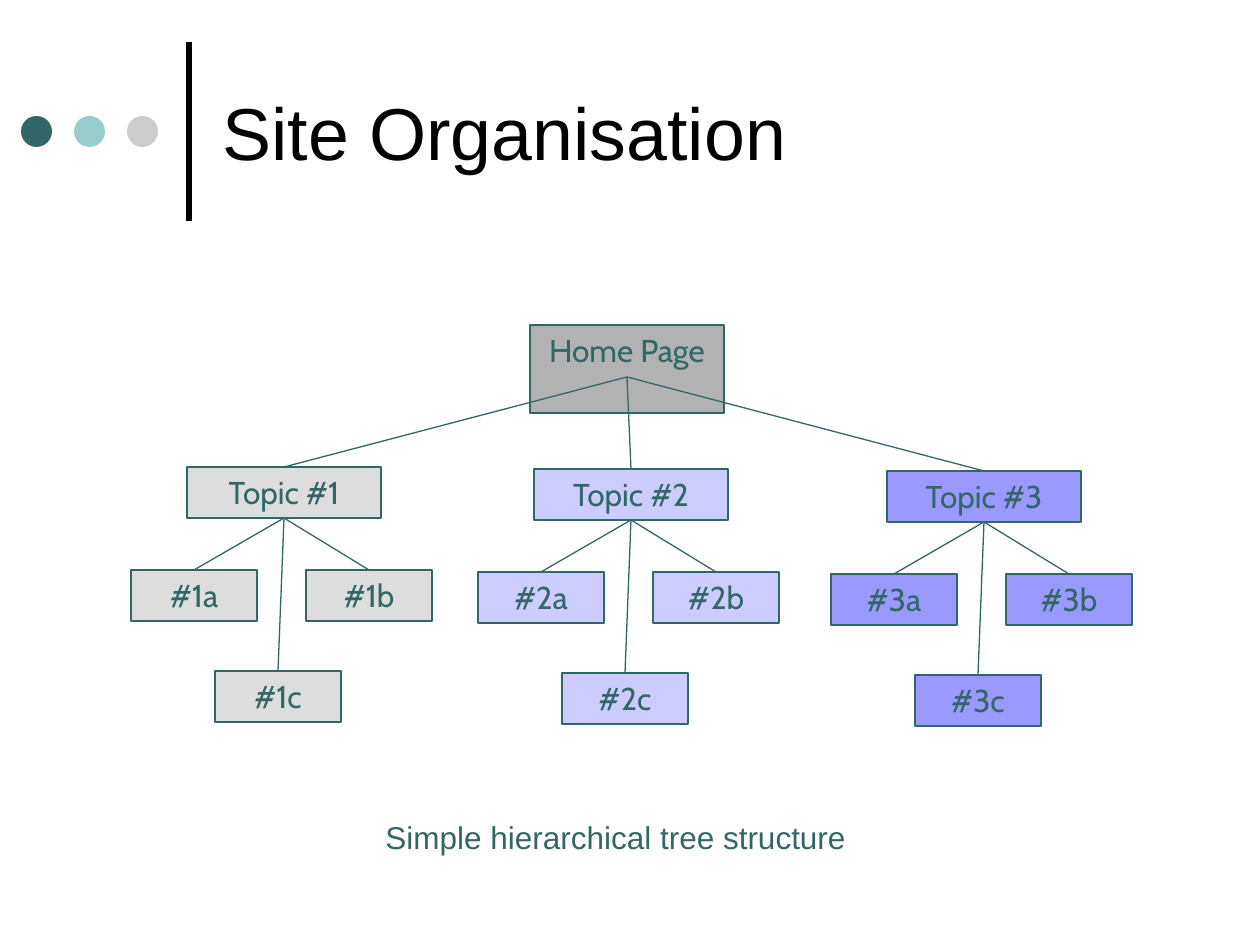
from dataclasses import dataclass

from lxml import etree
from pptx import Presentation
from pptx.dml.color import RGBColor
from pptx.enum.shapes import MSO_CONNECTOR, MSO_SHAPE
from pptx.enum.text import MSO_ANCHOR, PP_ALIGN
from pptx.oxml.ns import qn
from pptx.shapes.autoshape import Shape
from pptx.shapes.connector import Connector
from pptx.slide import Slide
from pptx.util import Emu, Pt

RECT, OVAL = MSO_SHAPE.RECTANGLE, MSO_SHAPE.OVAL
STRAIGHT = MSO_CONNECTOR.STRAIGHT
LEFT, CENTER = PP_ALIGN.LEFT, PP_ALIGN.CENTER
TOP, MIDDLE = MSO_ANCHOR.TOP, MSO_ANCHOR.MIDDLE
TOP_SIDE, BOTTOM_SIDE = 0, 2

BLACK = RGBColor(0x00, 0x00, 0x00)
TEAL = RGBColor(0x33, 0x66, 0x66)
AQUA = RGBColor(0x99, 0xCC, 0xCC)
SILVER = RGBColor(0xCC, 0xCC, 0xCC)
GRAY = RGBColor(0xB2, 0xB2, 0xB2)
PALE = RGBColor(0xDD, 0xDD, 0xDD)
LILAC = RGBColor(0xCC, 0xCC, 0xFF)
VIOLET = RGBColor(0x99, 0x99, 0xFF)

PX_PER_INCH = 126
WIDE, NARROW, HIGH = 194, 126, 51


@dataclass(frozen=True)
class Box:
    x: int
    y: int
    w: int
    h: int


@dataclass(frozen=True)
class Topic:
    num: int
    x: int
    y: int
    fill: RGBColor


@dataclass(frozen=True)
class Page:
    mark: str
    dx: int
    dy: int


TOPICS = (
    Topic(1, 187, 467, PALE),
    Topic(2, 534, 469, LILAC),
    Topic(3, 887, 471, VIOLET),
)
PAGES = (Page("a", -56, 103), Page("b", 119, 103), Page("c", 28, 204))


def px(num: int) -> Emu:
    return Emu(round(num * 914400 / PX_PER_INCH))


def spot(box: Box) -> tuple[Emu, Emu, Emu, Emu]:
    return px(box.x), px(box.y), px(box.w), px(box.h)


def write(shape: Shape, text: str, font: str, size: int, color: RGBColor,
          align: PP_ALIGN, anchor: MSO_ANCHOR) -> None:
    frame = shape.text_frame
    frame.word_wrap = True
    frame.vertical_anchor = anchor
    frame.text = text
    para = frame.paragraphs[0]
    para.alignment = align
    style = para.runs[0].font
    style.name, style.size = font, Pt(size)
    style.color.rgb = color


def add_text(slide: Slide, box: Box, text: str, size: int, color: RGBColor,
             anchor: MSO_ANCHOR) -> None:
    shape = slide.shapes.add_textbox(*spot(box))
    write(shape, text, "Arial", size, color, LEFT, anchor)


def add_dot(slide: Slide, x: int, fill: RGBColor) -> None:
    dot = slide.shapes.add_shape(OVAL, *spot(Box(x, 116, 31, 31)))
    dot.shadow.inherit = False
    dot.fill.solid()
    dot.fill.fore_color.rgb = fill
    dot.line.fill.background()


def add_node(slide: Slide, box: Box, text: str, fill: RGBColor) -> Shape:
    node = slide.shapes.add_shape(RECT, *spot(box))
    node.shadow.inherit = False
    node.fill.solid()
    node.fill.fore_color.rgb = fill
    node.line.color.rgb = TEAL
    node.line.width = Pt(0.75)
    write(node, text, "Cabin", 18, TEAL, CENTER, TOP)
    return node


def add_line(slide: Slide, x1: int, y1: int, x2: int, y2: int,
             color: RGBColor = TEAL, width: float = 0.75) -> Connector:
    line = slide.shapes.add_connector(STRAIGHT, px(x1), px(y1), px(x2), px(y2))
    line.line.color.rgb = color
    line.line.width = Pt(width)
    etree.SubElement(line._element.spPr, qn("a:effectLst"))
    return line


def add_branch(slide: Slide, topic: Topic) -> Shape:
    """Draw a topic with its pages and return the topic's node."""
    head = add_node(slide, Box(topic.x, topic.y, WIDE, HIGH),
                    f"Topic #{topic.num}", topic.fill)
    leaves = [
        add_node(slide, Box(topic.x + page.dx, topic.y + page.dy, NARROW, HIGH),
                 f"#{topic.num}{page.mark}", topic.fill)
        for page in PAGES
    ]
    for leaf in leaves:
        line = add_line(slide, 0, 0, 0, 0)
        line.begin_connect(head, BOTTOM_SIDE)
        line.end_connect(leaf, TOP_SIDE)
    return head


def main() -> None:
    deck = Presentation()
    deck.slide_width, deck.slide_height = px(1260), px(945)
    slide = deck.slides.add_slide(deck.slide_layouts[6])

    add_line(slide, 189, 221, 189, 42, BLACK, 3)
    for step, fill in enumerate((TEAL, AQUA, SILVER)):
        add_dot(slide, 21 + 53 * step, fill)
    add_text(slide, Box(210, 26, 966, 210), "Site Organisation", 42, BLACK, MIDDLE)

    add_node(slide, Box(530, 325, WIDE, 88), "Home Page", GRAY)
    heads = [add_branch(slide, topic) for topic in TOPICS]
    for head in heads:
        line = add_line(slide, 627, 377, 627, 377)
        line.end_connect(head, TOP_SIDE)

    add_text(slide, Box(373, 812, 631, HIGH),
             "Simple hierarchical tree structure", 18, TEAL, TOP)
    deck.save("out.pptx")


if __name__ == "__main__":
    main()
